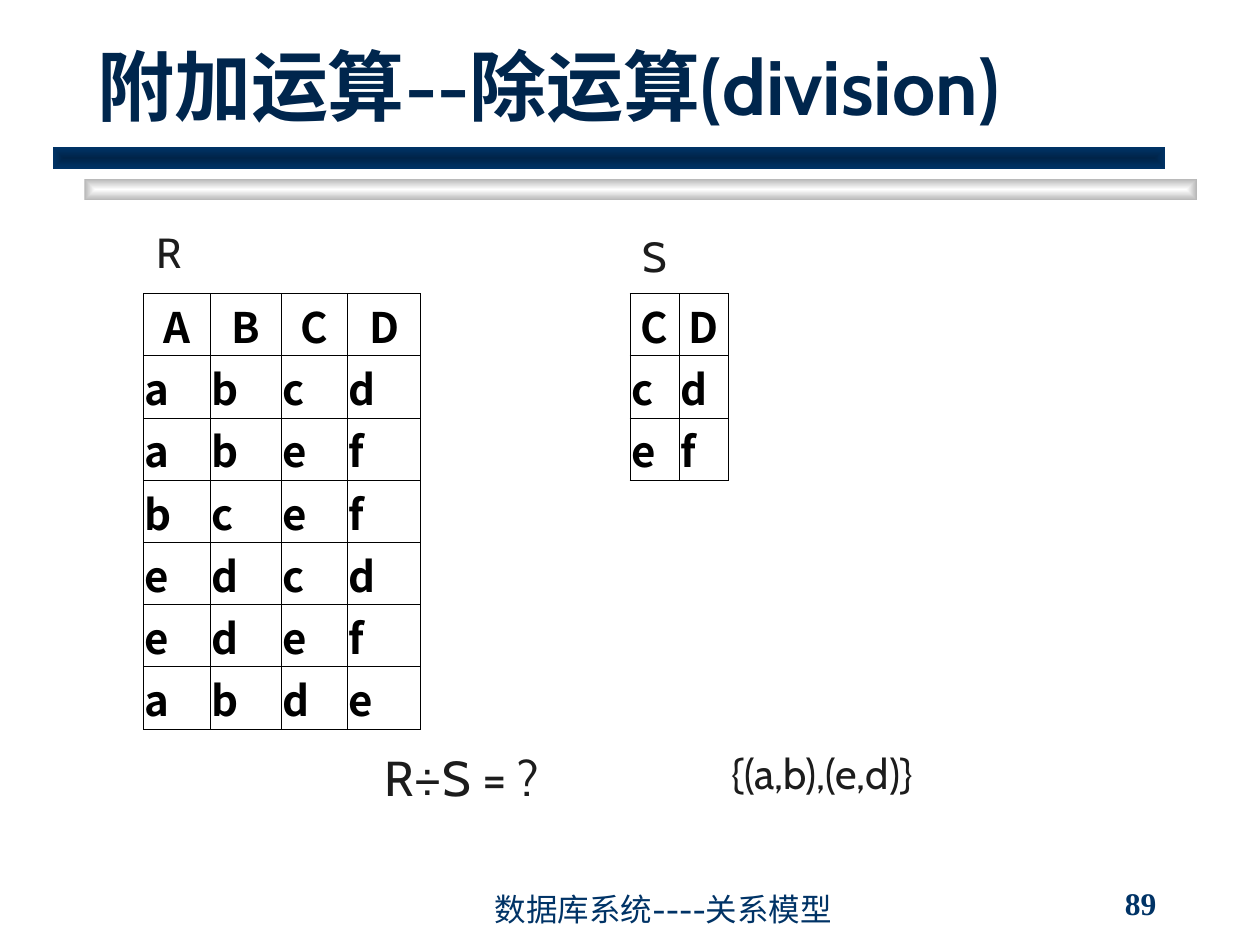
from dataclasses import dataclass

from lxml.etree import SubElement
from pptx import Presentation
from pptx.dml.color import RGBColor
from pptx.enum.shapes import MSO_SHAPE
from pptx.enum.text import MSO_ANCHOR, MSO_AUTO_SIZE, PP_ALIGN
from pptx.oxml.ns import qn
from pptx.util import Inches, Pt


@dataclass(frozen=True)
class Theme:
    """Colours, fonts and type sizes of the deck."""

    title: str = "00264D"
    footer: str = "003366"
    body: str = "1C1C1C"
    grid: str = "000000"
    navy_bar: tuple = ("002449", "003366")
    silver_bar: tuple = ("FFFFFF", "B6B6B6")
    font: str = "Cabin"
    table_font: str = "Noto Sans CJK SC"
    number_font: str = "Times New Roman"
    title_size: int = 44
    formula_size: int = 28
    body_size: int = 24
    footer_size: int = 18


class SlideBuilder:
    """Holds the theme and the current slide."""

    def __init__(self, prs, theme):
        """Add a title-only slide to the presentation."""
        self.theme = theme
        self.s = prs.slides.add_slide(prs.slide_layouts[5])

    def paragraph(self, tf, text, size, color, name=None, bold=False, align=PP_ALIGN.LEFT):
        """Put one formatted paragraph in a text frame."""
        p = tf.paragraphs[0]
        p.alignment = align
        r = p.add_run()
        r.text = text
        font = {"name": name or self.theme.font, "size": Pt(size), "bold": bold}
        for key, value in font.items():
            setattr(r.font, key, value)
        r.font.color.rgb = RGBColor.from_string(color)

    def bar(self, left, top, colors):
        """Draw a rule shaded from its centre to its edges."""
        sp = self.s.shapes.add_shape(
            MSO_SHAPE.RECTANGLE, Inches(left), Inches(top), Inches(8.83), Inches(0.17)
        )
        sp.shadow.inherit = False
        sp.line.fill.background()
        sp.fill.gradient()
        for stop, color, position in zip(sp.fill.gradient_stops, colors, (0, 1)):
            stop.color.rgb = RGBColor.from_string(color)
            stop.position = position
        grad = sp._element.spPr.find(qn("a:gradFill"))
        grad.remove(grad.find(qn("a:lin")))
        shade = SubElement(grad, qn("a:path"), {"path": "shape"})
        SubElement(shade, qn("a:fillToRect"), dict.fromkeys("ltrb", "50000"))

    def title(self, text):
        """Fill and place the title placeholder."""
        sp = self.s.shapes.title
        place = {"left": 0.67, "top": 0.42, "width": 8.5, "height": 0.67}
        for key, value in place.items():
            setattr(sp, key, Inches(value))
        tf = sp.text_frame
        frame = {"vertical_anchor": MSO_ANCHOR.BOTTOM, "auto_size": MSO_AUTO_SIZE.NONE}
        for key, value in frame.items():
            setattr(tf, key, value)
        self.paragraph(tf, text, self.theme.title_size, self.theme.title, bold=True)

    def text(self, box, text, size, color, wrap=False, anchor=MSO_ANCHOR.TOP, **font):
        """Add a text box."""
        tf = self.s.shapes.add_textbox(*map(Inches, box)).text_frame
        for key, value in {"word_wrap": wrap, "vertical_anchor": anchor}.items():
            setattr(tf, key, value)
        self.paragraph(tf, text, size, color, **font)

    def borders(self, cell):
        """Draw thin lines on the four sides of a cell."""
        tc_pr = cell._tc.get_or_add_tcPr()
        for side in ("lnL", "lnR", "lnT", "lnB"):
            ln = SubElement(tc_pr, qn(f"a:{side}"), {"w": str(Pt(0.5))})
            fill = SubElement(ln, qn("a:solidFill"))
            SubElement(fill, qn("a:srgbClr"), {"val": self.theme.grid})

    def table(self, left, top, widths, rows):
        """Add a relation with a centred header row."""
        height = 0.41
        table = self.s.shapes.add_table(
            len(rows), len(widths), Inches(left), Inches(top),
            Inches(sum(widths)), Inches(height * len(rows)),
        ).table
        table.first_row = table.horz_banding = False
        for column, width in zip(table.columns, widths):
            column.width = Inches(width)
        layout = {
            "margin_left": Inches(0.01), "margin_right": Inches(0.01),
            "margin_top": Inches(0.01), "margin_bottom": 0,
            "vertical_anchor": MSO_ANCHOR.MIDDLE,
        }
        for i, row in enumerate(rows):
            table.rows[i].height = Inches(height)
            for j, value in enumerate(row):
                cell = table.cell(i, j)
                self.borders(cell)
                cell.fill.background()
                for key, setting in layout.items():
                    setattr(cell, key, setting)
                self.paragraph(
                    cell.text_frame, value, self.theme.body_size, self.theme.grid,
                    self.theme.table_font, True,
                    PP_ALIGN.LEFT if i else PP_ALIGN.CENTER,
                )


def main():
    """Build the division slide."""
    prs = Presentation()
    prs.slide_width, prs.slide_height = Inches(10), Inches(7.5)
    t = Theme()
    b = SlideBuilder(prs, t)
    b.bar(0.67, 1.42, t.silver_bar)
    b.bar(0.42, 1.17, t.navy_bar)
    b.title("附加运算--除运算(division)")
    b.table(1.14, 2.33, (0.53, 0.56, 0.53, 0.58),
            ("ABCD", "abcd", "abef", "bcef", "edcd", "edef", "abde"))
    b.table(5, 2.33, (0.39, 0.39), ("CD", "cd", "ef"))
    b.text((1.14, 1.75, 0.41, 0.51), "R", t.body_size, t.body)
    b.text((5, 1.78, 0.39, 0.51), "S", t.body_size, t.body)
    b.text((2.95, 5.88, 2.05, 0.57), "R÷S = ?", t.formula_size, t.body, wrap=True)
    b.text((5.71, 5.88, 2.07, 0.51), "{(a,b),(e,d)}", t.body_size, t.body)
    b.text((3.83, 7.08, 4.08, 0.33), "数据库系统----关系模型", t.footer_size, t.footer,
           wrap=True, anchor=MSO_ANCHOR.BOTTOM)
    b.text((8.83, 7, 1.08, 0.33), "89", t.footer_size, t.footer,
           anchor=MSO_ANCHOR.MIDDLE, name=t.number_font, bold=True)
    prs.save("out.pptx")


if __name__ == "__main__":
    main()
